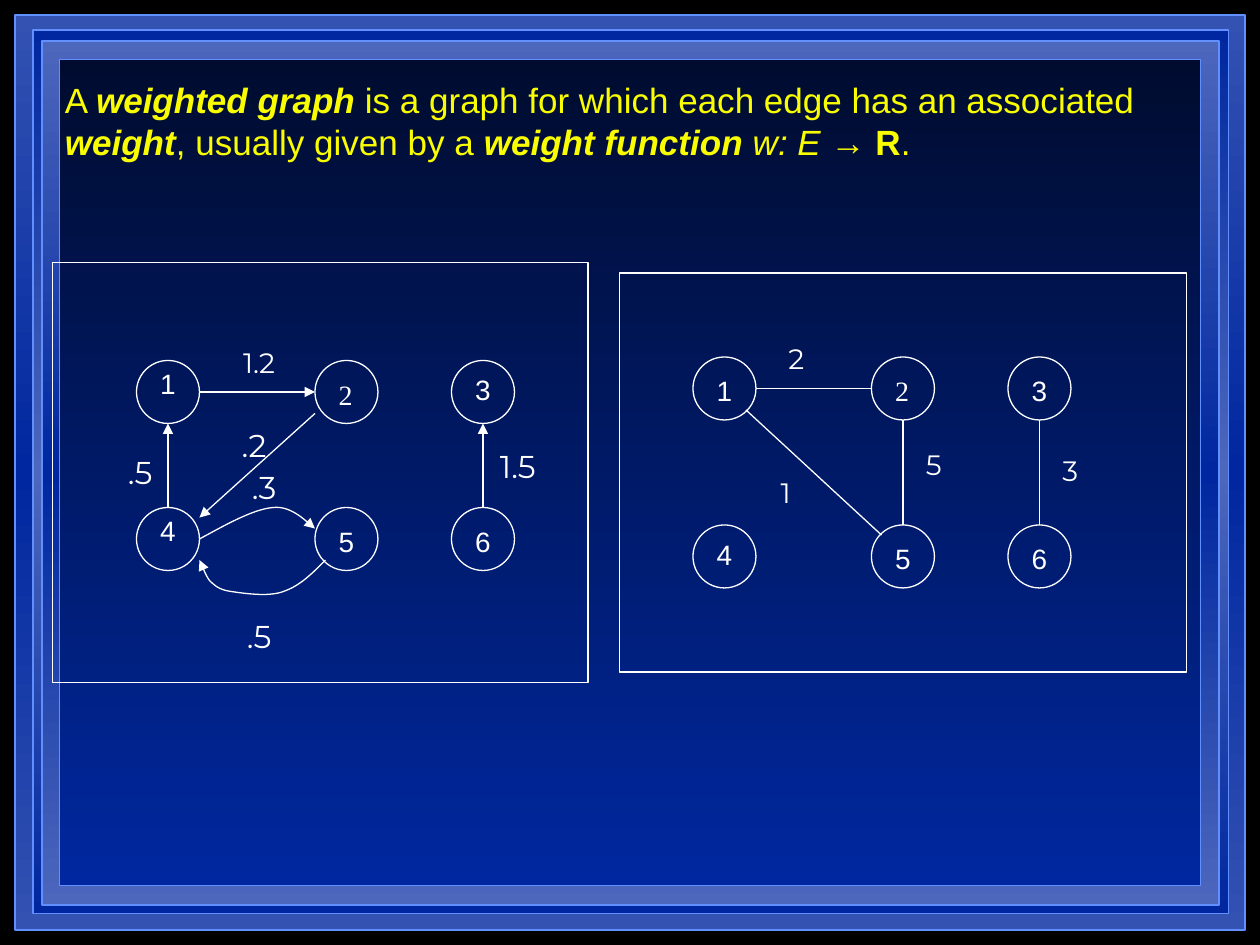
import copy

import pptx
import pptx.dml.color
import pptx.enum.shapes
import pptx.enum.text
import pptx.oxml.ns
import pptx.oxml.xmlchemy
import pptx.util

Pt = pptx.util.Pt
RGBColor = pptx.dml.color.RGBColor
SHAPE = pptx.enum.shapes.MSO_SHAPE
OxmlElement = pptx.oxml.xmlchemy.OxmlElement
qn = pptx.oxml.ns.qn

BLACK = RGBColor(0x00, 0x00, 0x00)
WHITE = RGBColor(0xFF, 0xFF, 0xFF)
YELLOW = RGBColor(0xFA, 0xFD, 0x00)
RIM = RGBColor(0x61, 0x8F, 0xFD)
NAVY = RGBColor(0x00, 0x0C, 0x2F)
BLUE = RGBColor(0x00, 0x27, 0x9F)
STEEL = RGBColor(0x33, 0x52, 0xB2)
HAZE = RGBColor(0x4C, 0x67, 0xBC)

NODE = 36
# Points on a node, as fractions of its width and height
TOP, LEFT, BOTTOM, RIGHT = (0.5, 0), (0, 0.5), (0.5, 1), (1, 0.5)


def style_line(line, color=WHITE, width=0.75, arrow=False):
    line.color.rgb = color
    line.width = Pt(width)
    if arrow:
        head = OxmlElement("a:tailEnd")
        head.set("type", "triangle")
        line._get_or_add_ln().append(head)


def add_outline(slide, kind, box):
    outline = slide.shapes.add_shape(kind, *map(Pt, box))
    outline.shadow.inherit = False
    outline.fill.background()
    style_line(outline.line)


def add_label(slide, x, y, text, size, font):
    width = 14.4 + size * sum(0.28 if c == "." else 0.56 for c in text)
    label = slide.shapes.add_textbox(Pt(x), Pt(y), Pt(width), Pt(7.2 + 1.2 * size))
    frame = label.text_frame
    frame.word_wrap = False
    frame.auto_size = pptx.enum.text.MSO_AUTO_SIZE.SHAPE_TO_FIT_TEXT
    run = frame.paragraphs[0].add_run()
    run.text = text
    run.font.size = Pt(size)
    run.font.name = font
    run.font.color.rgb = WHITE


def add_edge(slide, start, end, arrow):
    edge = slide.shapes.add_connector(
        pptx.enum.shapes.MSO_CONNECTOR.STRAIGHT, *map(Pt, (*start, *end)))
    style_line(edge.line, arrow=arrow)
    edge._element.spPr.append(OxmlElement("a:effectLst"))


def add_curve(slide, points, steps=16):
    """Draw joined cubic curves: a start, then two controls and an end for each."""
    trace = []
    for i in range(0, len(points) - 1, 3):
        for step in range(1, steps + 1):
            t = step / steps
            weights = ((1 - t) ** 3, 3 * t * (1 - t) ** 2, 3 * t * t * (1 - t), t ** 3)
            trace.append(tuple(
                Pt(sum(w * p[axis] for w, p in zip(weights, points[i:i + 4])))
                for axis in (0, 1)))
    builder = slide.shapes.build_freeform(*map(Pt, points[0]))
    builder.add_line_segments(trace, close=False)
    curve = builder.convert_to_shape()
    curve.shadow.inherit = False
    curve.fill.background()
    style_line(curve.line, arrow=True)


def build_frame(slide, panels):
    """Nested panels with vertical gradients, from the outside in."""
    for box, colors in panels:
        panel = slide.shapes.add_shape(SHAPE.RECTANGLE, *map(Pt, box))
        panel.shadow.inherit = False
        style_line(panel.line, RIM, 1)
        panel.fill.gradient()
        panel.fill.gradient_angle = 270
        stop_list = panel._element.spPr.find(qn("a:gradFill")).find(qn("a:gsLst"))
        while len(stop_list) < len(colors):
            stop_list.append(copy.deepcopy(stop_list[0]))
        for i, (stop, color) in enumerate(zip(panel.fill.gradient_stops, colors)):
            stop.color.rgb = color
            stop.position = i / (len(colors) - 1)


def build_definition(slide, box, parts):
    definition = slide.shapes.add_textbox(*map(Pt, box))
    frame = definition.text_frame
    frame.word_wrap = True
    frame.vertical_anchor = pptx.enum.text.MSO_ANCHOR.MIDDLE
    for text, bold, italic in parts:
        run = frame.paragraphs[0].add_run()
        run.text = text
        run.font.size = Pt(20)
        run.font.name = "Arial"
        run.font.bold = bold
        run.font.italic = italic
        run.font.color.rgb = YELLOW


def build_graph(slide, box, columns, rows, raised, edges, curves, weights, directed):
    """Six nodes in two rows; every place is measured from the box corner."""
    left, top = box[:2]
    nodes = {str(3 * r + c + 1): (left + x, top + y)
             for r, y in enumerate(rows) for c, x in enumerate(columns)}

    # Nodes and their numbers
    for name, (x, y) in nodes.items():
        add_outline(slide, SHAPE.OVAL, (x, y, NODE, NODE))
        font = "Times New Roman" if name == "2" else "Arial"
        add_label(slide, x + 6.5, y + raised.get(name, 6), name, 16, font)

    # Edges
    for start, start_at, end, end_at in edges:
        ends = [tuple(corner + NODE * f for corner, f in zip(nodes[name], at))
                for name, at in ((start, start_at), (end, end_at))]
        add_edge(slide, *ends, directed)
    for points in curves:
        add_curve(slide, [(left + x, top + y) for x, y in points])

    # Edge weights
    for x, y, text, size in weights:
        add_label(slide, left + x, top + y, text, size, "Montserrat")

    add_outline(slide, SHAPE.RECTANGLE, box)


def main():
    deck = pptx.Presentation()
    deck.slide_width, deck.slide_height = Pt(720), Pt(540)
    slide = deck.slides.add_slide(deck.slide_layouts[6])
    slide.background.fill.solid()
    slide.background.fill.fore_color.rgb = BLACK

    build_frame(slide, [
        ((8.5, 8.5, 703, 523), (STEEL, BLUE, STEEL)),
        ((18.7, 17.3, 683.3, 504.7), (BLUE, HAZE, BLUE)),
        ((24, 23.5, 672.5, 493.5), (HAZE, BLUE, HAZE)),
        ((34, 34, 652, 472), (NAVY, BLUE)),
    ])

    build_definition(slide, (30, 24, 690, 90), [
        ("A ", False, False),
        ("weighted graph", True, True),
        (" is a graph for which each edge has an associated ", False, False),
        ("weight", True, True),
        (", usually given by a ", False, False),
        ("weight function ", True, True),
        ("w: E ", False, True),
        ("→ ", False, False),
        ("R", True, False),
        (".", False, False),
    ])

    # Directed graph
    build_graph(
        slide, (30, 150, 306, 240), columns=(48, 150, 228), rows=(56, 140),
        raised={"1": 0, "3": 3.6, "4": 0},
        edges=[("4", TOP, "1", BOTTOM), ("1", RIGHT, "2", LEFT),
               ("2", (0, 0.84), "4", (1, 0.16)), ("6", TOP, "3", BOTTOM)],
        curves=[
            [(84, 158), (99.6, 149.5), (114.7, 141), (126, 140),
             (137, 138.7), (145.7, 148.8), (150, 152)],
            [(156, 170), (148.6, 177.6), (141.4, 184.8), (132, 188),
             (123.4, 191.3), (109, 189), (102, 188),
             (95.3, 187), (93, 184.8), (90, 182),
             (87.4, 179), (85.2, 172), (84, 170)],
        ],
        weights=[(36, 105.6, ".5", 18), (101.8, 43.7, "1.2", 16), (101, 90, ".2", 18),
                 (104, 199, ".5", 18), (248.6, 102, "1.5", 18), (106.8, 114, ".3", 18)],
        directed=True)

    # Undirected graph
    build_graph(
        slide, (354, 156, 324, 228), columns=(42, 144, 222), rows=(48, 144),
        raised={"4": 3.6},
        edges=[("1", (0.84, 0.84), "5", (0.16, 0.16)), ("1", RIGHT, "2", LEFT),
               ("5", TOP, "2", BOTTOM), ("6", TOP, "3", BOTTOM)],
        curves=[],
        weights=[(89.5, 35.5, "2", 16), (85, 112, "1", 16),
                 (246, 99.6, "3", 16), (168, 96, "5", 16)],
        directed=False)

    deck.save("out.pptx")


if __name__ == "__main__":
    main()
